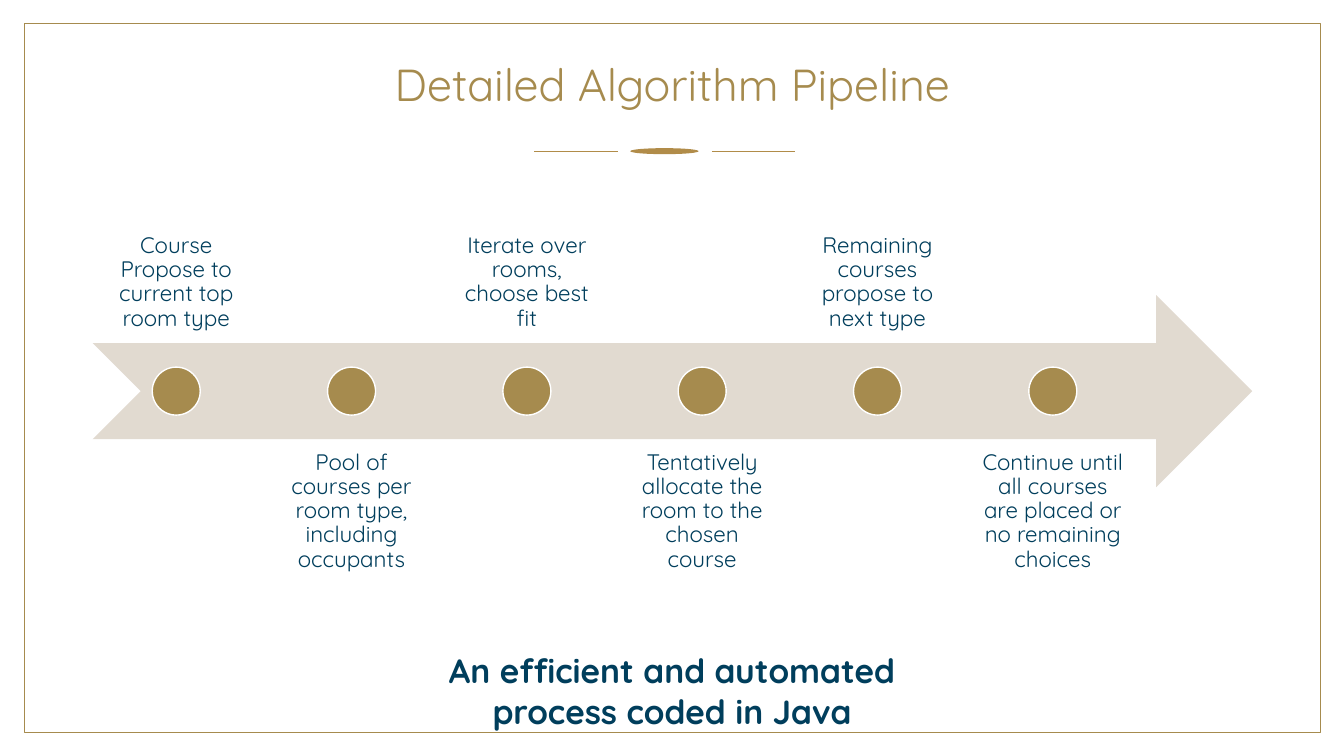
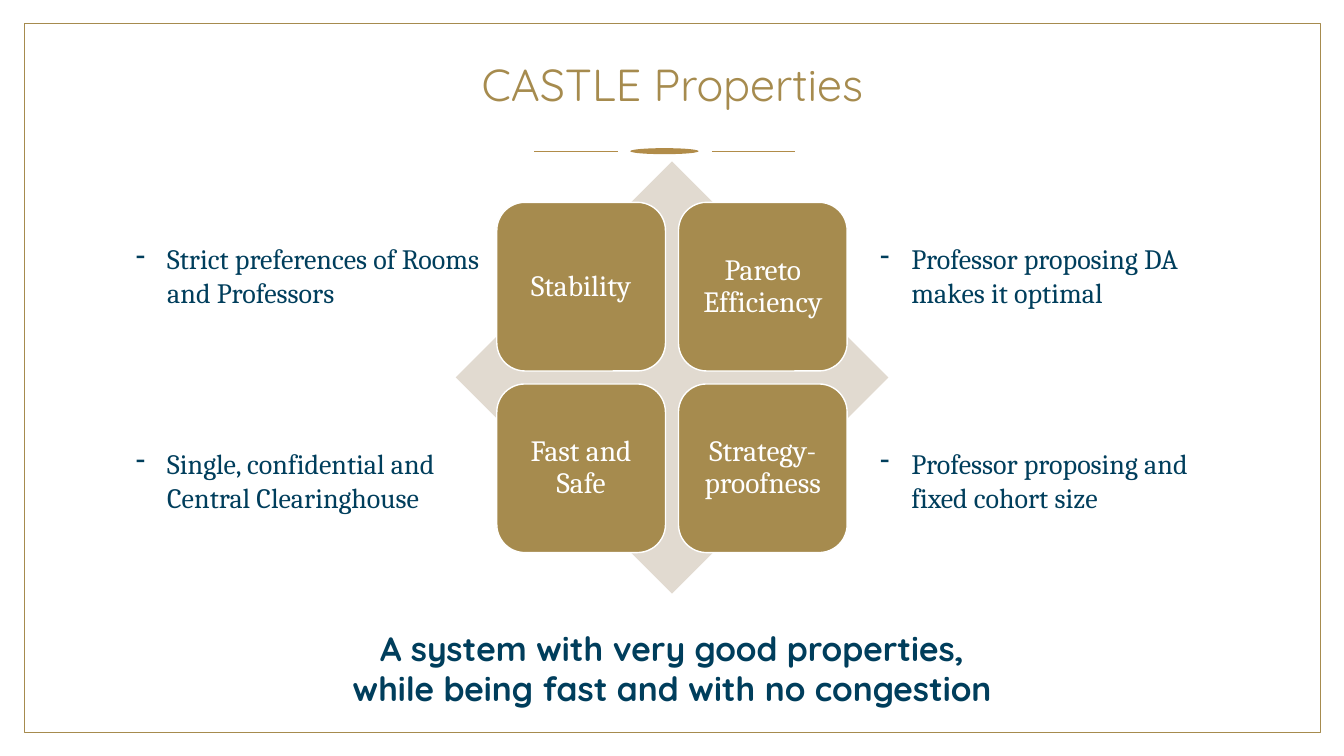
from lxml import etree
from pptx import Presentation
from pptx.dml.color import RGBColor
from pptx.enum.shapes import MSO_CONNECTOR, MSO_SHAPE
from pptx.enum.text import MSO_ANCHOR, PP_ALIGN
from pptx.oxml.ns import qn
from pptx.util import Inches, Pt

GOLD = RGBColor(0xA6, 0x8B, 0x4E)
ORNAMENT_GOLD = RGBColor(0xB1, 0x8C, 0x49)
SAND = RGBColor(0xE1, 0xDA, 0xD0)
NAVY = RGBColor(0x00, 0x3E, 0x5C)
WHITE = RGBColor(0xFF, 0xFF, 0xFF)

SANS = "Quicksand"
SERIF = "Cambria"

RECT = MSO_SHAPE.RECTANGLE
OVAL = MSO_SHAPE.OVAL
ARROW = MSO_SHAPE.NOTCHED_RIGHT_ARROW
DIAMOND = MSO_SHAPE.DIAMOND
ROUNDED = MSO_SHAPE.ROUNDED_RECTANGLE
STRAIGHT = MSO_CONNECTOR.STRAIGHT
LEFT = PP_ALIGN.LEFT
CENTER = PP_ALIGN.CENTER
TOP = MSO_ANCHOR.TOP
MIDDLE = MSO_ANCHOR.MIDDLE
BOTTOM = MSO_ANCHOR.BOTTOM

TITLE_ONLY = 5

STEPS = [
    "Course Propose to current top room type",
    "Pool of courses per room type, including occupants",
    "Iterate over rooms, choose best fit",
    "Tentatively allocate the room to the chosen course",
    "Remaining courses propose to next type",
    "Continue until all courses are placed or no remaining choices",
]
PROPERTIES = [
    ("Stability", "Strict preferences of Rooms and Professors"),
    ("Pareto Efficiency", "Professor proposing DA makes it optimal"),
    ("Fast and Safe", "Single, confidential and Central Clearinghouse"),
    ("Strategy-proofness", "Professor proposing and fixed cohort size"),
]


def inches(*lengths):
    return [Inches(length) for length in lengths]


def write_text(sp, text, size, font=SANS, color=NAVY, bold=False, align=CENTER,
               anchor=TOP, spacing=1.0, inset=None, bullet=None):
    tf = sp.text_frame
    tf.word_wrap = True
    tf.vertical_anchor = anchor
    if inset is not None:
        tf.margin_left = tf.margin_right = Inches(inset)
        tf.margin_top = tf.margin_bottom = Inches(inset)
    for i, line in enumerate(text.split("\n")):
        p = tf.add_paragraph() if i else tf.paragraphs[0]
        p.alignment = align
        p.line_spacing = spacing
        if bullet:
            pPr = p._p.get_or_add_pPr()
            indent = Inches(0.31)
            pPr.set("marL", str(indent))
            pPr.set("indent", str(-indent))
            etree.SubElement(pPr, qn("a:buChar")).set("char", bullet)
        r = p.add_run()
        r.text = line
        r.font.size = Pt(size)
        r.font.name = font
        r.font.bold = bold
        r.font.color.rgb = color


def add_text(slide, box, text, **fmt):
    write_text(slide.shapes.add_textbox(*inches(*box)), text, **fmt)


def add_shape(slide, kind, box, fill=None, line=None, width=1):
    sp = slide.shapes.add_shape(kind, *inches(*box))
    sp.shadow.inherit = False
    if fill is None:
        sp.fill.background()
    else:
        sp.fill.solid()
        sp.fill.fore_color.rgb = fill
    if line is None:
        sp.line.fill.background()
    else:
        sp.line.color.rgb = line
        sp.line.width = Pt(width)
    return sp


def add_rule(slide, x, y, length):
    line = slide.shapes.add_connector(STRAIGHT, *inches(x, y, x + length, y))
    line.line.color.rgb = ORNAMENT_GOLD
    line.line.width = Pt(0.5)
    etree.SubElement(line._element.spPr, qn("a:effectLst"))


def add_ornament(slide, box):
    x, y, w, h = box
    rule = 0.83
    add_rule(slide, x, y + h / 2, rule)
    add_rule(slide, x + w - rule, y + h / 2, rule)
    add_shape(slide, OVAL, (x + 0.95, y, 0.68, h), fill=ORNAMENT_GOLD)


def add_slide(prs, title, closing, closing_box):
    slide = prs.slides.add_slide(prs.slide_layouts[TITLE_ONLY])
    add_shape(slide, RECT, (0.24, 0.23, 12.86, 7.04), line=GOLD, width=0.75)
    add_ornament(slide, (5.3, 1.47, 2.59, 0.06))
    sp = slide.shapes.title
    sp.left, sp.top, sp.width, sp.height = inches(0.92, 0.23, 11.5, 1.27)
    write_text(sp, title, size=32, color=GOLD, anchor=MIDDLE, spacing=0.9)
    add_text(slide, closing_box, closing, size=24, bold=True)
    return slide


def add_pipeline(slide, box, steps):
    x, y, w, h = box
    band = 0.4 * h
    dot = band / 4
    gap_ratio = 0.05
    slot = 0.9 * w / (len(steps) + gap_ratio * (len(steps) - 1))
    add_shape(slide, ARROW, (x, y + 0.3 * h, w, band), fill=SAND)
    for i, step in enumerate(steps):
        left = x + i * slot * (1 + gap_ratio)
        below = i % 2
        top = y + 0.6 * h if below else y
        add_text(slide, (left, top, slot, band), step, size=16, spacing=0.9,
                 anchor=TOP if below else BOTTOM, inset=0.12)
        add_shape(slide, OVAL,
                  (left + (slot - dot) / 2, y + (h - dot) / 2, dot, dot),
                  fill=GOLD, line=WHITE)


def add_matrix(slide, box, labels):
    x, y, side = box
    tile = 0.39 * side
    pitch = 0.42 * side
    margin = (side - tile - pitch) / 2
    add_shape(slide, DIAMOND, (x, y, side, side), fill=SAND)
    for i, label in enumerate(labels):
        row, col = divmod(i, 2)
        sp = add_shape(slide, ROUNDED,
                       (x + margin + col * pitch, y + margin + row * pitch,
                        tile, tile), fill=GOLD, line=WHITE)
        write_text(sp, label, size=21, font=SERIF, color=WHITE, anchor=MIDDLE,
                   spacing=0.9, inset=0.09)


def add_remarks(slide, box, remarks):
    x, y, w, h = box
    width, height = 3.68, 0.77
    for i, remark in enumerate(remarks):
        row, col = divmod(i, 2)
        add_text(slide, (x + col * (w - width), y + row * (h - height),
                         width, height),
                 remark, size=20, font=SERIF, align=LEFT, bullet="-")


def main():
    prs = Presentation()
    prs.slide_width, prs.slide_height = inches(13.33, 7.5)

    slide = add_slide(prs, "Detailed Algorithm Pipeline",
                      "An efficient and automated process coded in Java",
                      (4.12, 6.4, 5.09, 0.91))
    add_pipeline(slide, (0.92, 1.5, 11.5, 4.76), STEPS)

    slide = add_slide(prs, "CASTLE Properties",
                      "A system with very good properties,\n"
                      "while being fast and with no congestion",
                      (2.4, 6.18, 8.53, 0.91))
    labels, remarks = zip(*PROPERTIES)
    add_matrix(slide, (4.52, 1.6, 4.29), labels)
    add_remarks(slide, (1.25, 2.35, 11.06, 2.8), remarks)

    prs.save("out.pptx")


if __name__ == "__main__":
    main()
